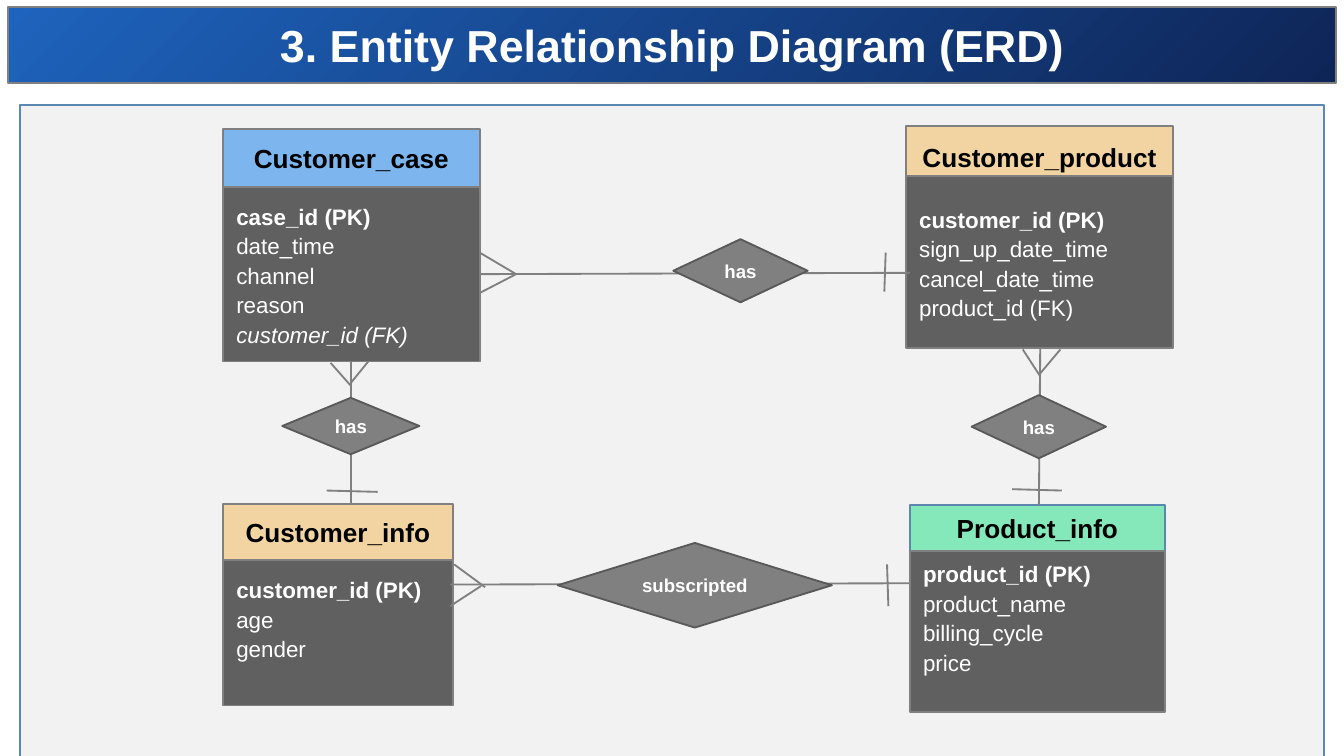
from dataclasses import dataclass

from lxml.etree import SubElement
from pptx import Presentation
from pptx.dml.color import RGBColor
from pptx.enum.shapes import MSO_CONNECTOR, MSO_SHAPE
from pptx.enum.text import MSO_ANCHOR, PP_ALIGN
from pptx.oxml.ns import qn
from pptx.util import Inches, Pt


@dataclass(frozen=True)
class Theme:
    font: str = "Arial"
    title_size: int = 24
    entity_size: int = 14
    field_size: int = 12
    relation_size: int = 10
    white: str = "FFFFFF"
    black: str = "000000"
    panel: str = "F2F2F2"
    title_start: str = "1E63BD"
    title_end: str = "0E2557"
    blue_line: str = "5C87B1"
    gray: str = "808080"
    dark_line: str = "595959"
    body: str = "606060"
    case: str = "7DB6EF"
    customer: str = "F1D4A2"
    product: str = "84E8BA"


theme = Theme()


def add_box(shapes, preset, place, fill, line):
    box = shapes.add_shape(preset, *[Inches(value) for value in place])
    box.shadow.inherit = False
    box.fill.solid()
    box.fill.fore_color.rgb = RGBColor.from_string(fill)
    box.line.color.rgb = RGBColor.from_string(line)
    box.line.width = Pt(1)
    box.text_frame.word_wrap = True
    box.text_frame.vertical_anchor = MSO_ANCHOR.MIDDLE
    return box


def write(para, text, size, color, bold=True, italic=False, align=PP_ALIGN.CENTER):
    para.alignment = align
    span = para.add_run()
    span.text = text
    span.font.name = theme.font
    span.font.size = Pt(size)
    span.font.bold = bold
    span.font.italic = italic
    span.font.color.rgb = RGBColor.from_string(color)


# Widescreen page, 16 to 9
deck = Presentation()
deck.slide_width = Inches(10)
deck.slide_height = Inches(10 * 9 / 16)
page = deck.slides.add_slide(deck.slide_layouts[6])

# Panel and title bar
add_box(page.shapes, MSO_SHAPE.RECTANGLE, (0.15, 0.78, 9.7, 4.89), theme.panel, theme.blue_line)
title = add_box(page.shapes, MSO_SHAPE.RECTANGLE, (0.06, 0.05, 9.88, 0.57), theme.title_start, theme.gray)
title.fill.gradient()
title.fill.gradient_angle = 315
for stop, color in zip(title.fill.gradient_stops, (theme.title_start, theme.title_end)):
    stop.color.rgb = RGBColor.from_string(color)
write(title.text_frame.paragraphs[0], "3. Entity Relationship Diagram (ERD)", theme.title_size, theme.white)

# Entities: name, header place, body top and height, colours, bottom inset, fields
entities = [
    ("Customer_case", (1.66, 0.96, 1.91, 0.43), 1.39, 1.3, theme.case, theme.gray, 0.05,
     ["case_id (PK)", "date_time", "channel", "reason", "customer_id (FK)"]),
    ("Customer_info", (1.66, 3.75, 1.71, 0.42), 4.17, 1.08, theme.customer, theme.gray, 0.27,
     ["customer_id (PK)", "age", "gender"]),
    ("Product_info", (6.77, 3.76, 1.9, 0.34), 4.1, 1.2, theme.product, theme.blue_line, 0.27,
     ["product_id (PK)", "product_name", "billing_cycle", "price"]),
    ("Customer_product", (6.74, 0.94, 1.99, 0.46), 1.31, 1.28, theme.customer, theme.gray, 0.05,
     ["customer_id (PK)", "sign_up_date_time", "cancel_date_time", "product_id (FK)"]),
]
for name, place, body_top, body_height, fill, line, bottom, fields in entities:
    group = page.shapes.add_group_shape()
    header = add_box(group.shapes, MSO_SHAPE.RECTANGLE, place, fill, line)
    write(header.text_frame.paragraphs[0], name, theme.entity_size, theme.black)
    body = add_box(group.shapes, MSO_SHAPE.RECTANGLE, (place[0], body_top, place[2], body_height),
                   theme.body, theme.gray)
    frame = body.text_frame
    frame.margin_bottom = Inches(bottom)
    align = PP_ALIGN.JUSTIFY if name == "Product_info" else PP_ALIGN.LEFT
    for index, field in enumerate(fields):
        para = frame.add_paragraph() if index else frame.paragraphs[0]
        para.line_spacing = 1.1
        write(para, field, theme.field_size, theme.white, bold=index == 0,
              italic=name == "Customer_case" and field.endswith("(FK)"), align=align)

# Links between entities, each with its crow's foot and its "one" bar
links = [
    # Customer_case to Customer_product
    (3.57, 2.04, 6.77, 2.03), (3.57, 1.88, 3.84, 2.04), (3.57, 2.18, 3.84, 2.04), (6.58, 2.17, 6.59, 1.88),
    # Customer_case to Customer_info
    (2.61, 2.69, 2.61, 3.75), (2.46, 2.7, 2.61, 2.87), (2.61, 2.85, 2.74, 2.69), (2.43, 3.65, 2.81, 3.66),
    # Customer_info to Product_info
    (3.35, 4.35, 6.78, 4.34), (3.61, 4.37, 3.38, 4.2), (3.35, 4.51, 3.58, 4.36), (6.61, 4.51, 6.6, 4.2),
    # Customer_product to Product_info
    (7.74, 2.59, 7.73, 3.76), (7.61, 2.6, 7.74, 2.8), (7.73, 2.79, 7.89, 2.6), (7.53, 3.64, 7.9, 3.65),
]
for ends in links:
    link = page.shapes.add_connector(MSO_CONNECTOR.STRAIGHT, *[Inches(value) for value in ends])
    link.line.color.rgb = RGBColor.from_string(theme.gray)
    link.line.width = Pt(1)
    SubElement(link._element.spPr, qn("a:effectLst"))

# Relationship diamonds
relations = [
    ("subscripted", (4.15, 4.04, 2.04, 0.63)),
    ("has", (5.01, 1.78, 1, 0.47)),
    ("has", (7.23, 2.94, 1, 0.47)),
    ("has", (2.1, 2.96, 1.02, 0.42)),
]
for label, place in relations:
    diamond = add_box(page.shapes, MSO_SHAPE.DIAMOND, place, theme.gray, theme.dark_line)
    write(diamond.text_frame.paragraphs[0], label, theme.relation_size, theme.white)

deck.save("out.pptx")
